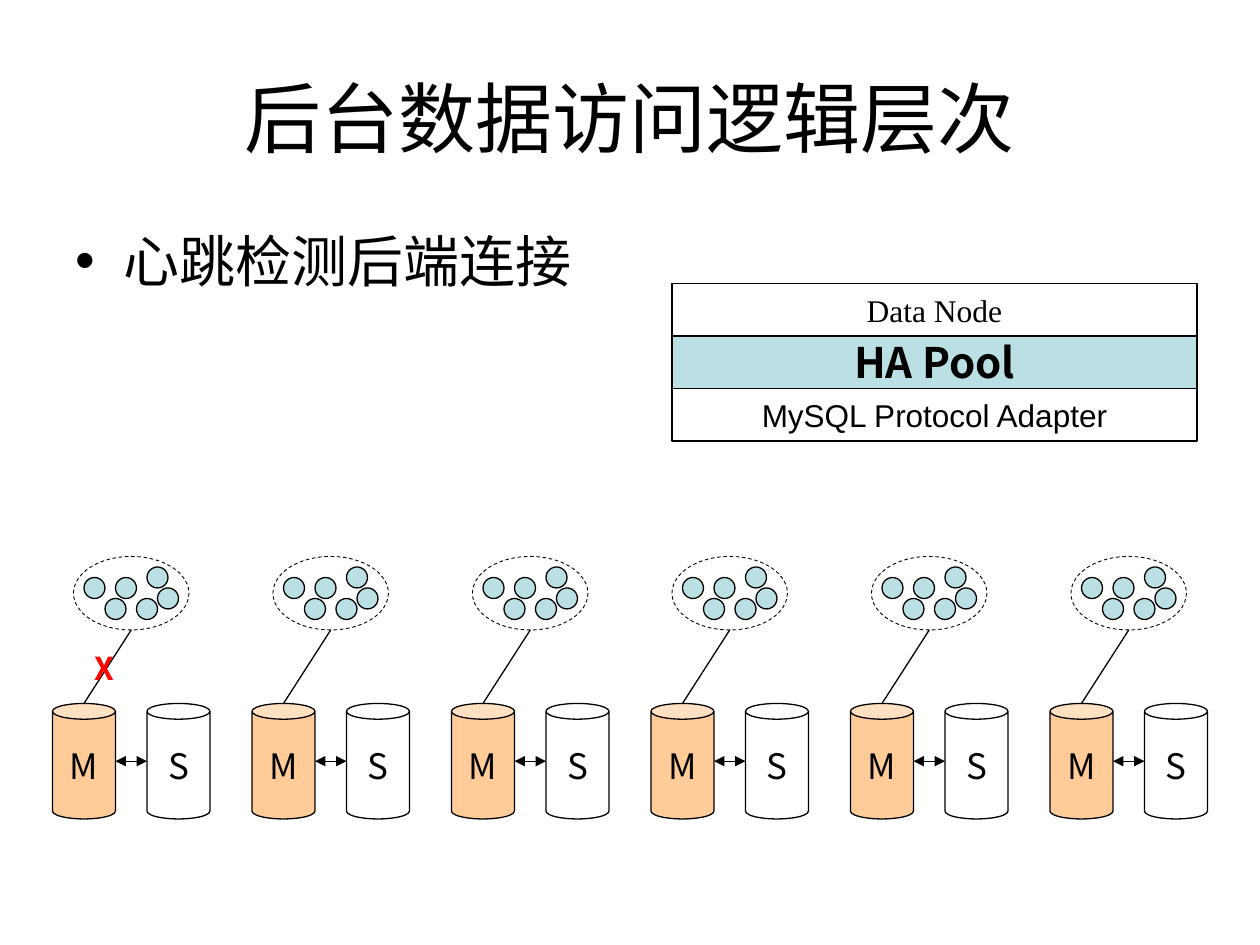
from dataclasses import dataclass

from lxml.etree import SubElement
from pptx import Presentation
from pptx.dml.color import RGBColor
from pptx.enum.dml import MSO_LINE
from pptx.enum.shapes import MSO_CONNECTOR, MSO_SHAPE
from pptx.enum.text import MSO_ANCHOR, PP_ALIGN
from pptx.oxml.ns import qn
from pptx.util import Inches, Pt


@dataclass(frozen=True)
class Theme:
    black: str = "000000"
    white: str = "FFFFFF"
    teal: str = "BBE0E3"
    orange: str = "FFCC99"
    red: str = "FF0000"
    sans: str = "Arial"
    serif: str = "Times New Roman"
    chinese: str = "Noto Sans CJK SC"
    title: int = 44
    body: int = 32
    emphasis: int = 24
    node: int = 20
    label: int = 18
    outline: float = 0.75
    dashed: float = 0.5


THEME = Theme()

TITLE = "后台数据访问逻辑层次"
BULLET = "心跳检测后端连接"

# Text, fill, font, size, bold; from top to bottom
LAYERS = [
    ("Data Node", THEME.white, THEME.serif, THEME.label, False),
    ("HA Pool", THEME.teal, THEME.chinese, THEME.emphasis, True),
    ("MySQL Protocol Adapter", THEME.white, THEME.sans, THEME.label, False),
]

# The diagram sits on a grid of twelfths of an inch.
# Positions below are for the first cluster; each next one is a pitch to the right.
CLUSTERS = 6
PITCH = 19
DATABASES = [("S", 14, THEME.white), ("M", 5, THEME.orange)]
POOL = (7, 53, 11, 7)
CONNECTIONS = [(10, 57), (14, 54), (13, 57), (11, 55), (8, 55), (15, 56)]


def grid(units):
    return Inches(units / 12)


def color(value):
    return RGBColor.from_string(value)


def add_span(para, text, font, size, ink=THEME.black, bold=False):
    span = para.add_run()
    span.text = text
    span.font.name = font
    span.font.size = Pt(size)
    span.font.bold = bold
    span.font.color.rgb = color(ink)
    SubElement(span.font._element, qn("a:ea"), typeface=THEME.chinese)


def add_text(page, left, top, width, height, anchor=MSO_ANCHOR.TOP):
    """Add a wrapping text box and return its first paragraph."""
    box = page.shapes.add_textbox(Inches(left), Inches(top), Inches(width), Inches(height))
    box.text_frame.word_wrap = True
    box.text_frame.vertical_anchor = anchor
    return box.text_frame.paragraphs[0]


def add_figure(page, kind, left, top, width, height, fill=None):
    """Add an outlined preset shape, placed in grid units."""
    figure = page.shapes.add_shape(kind, grid(left), grid(top), grid(width), grid(height))
    figure.shadow.inherit = False
    if fill:
        figure.fill.solid()
        figure.fill.fore_color.rgb = color(fill)
    else:
        figure.fill.background()
    figure.line.color.rgb = color(THEME.black)
    figure.line.width = Pt(THEME.outline)
    return figure


def label(figure, text, font, size, bold=False):
    frame = figure.text_frame
    frame.word_wrap = False
    frame.vertical_anchor = MSO_ANCHOR.MIDDLE
    para = frame.paragraphs[0]
    para.alignment = PP_ALIGN.CENTER
    add_span(para, text, font, size, bold=bold)


def add_link(page, start, end, arrows=False):
    ends = [grid(units) for units in (*start, *end)]
    link = page.shapes.add_connector(MSO_CONNECTOR.STRAIGHT, *ends)
    link.line.color.rgb = color(THEME.black)
    link.line.width = Pt(THEME.outline)
    if arrows:
        line = link.line._get_or_add_ln()
        for tag in ("a:headEnd", "a:tailEnd"):
            SubElement(line, qn(tag), type="triangle")
    SubElement(link._element.spPr, qn("a:effectLst"))


def add_cluster(page, shift):
    """Draw a master and slave pair with its connection pool."""
    for name, left, fill in DATABASES:
        can = add_figure(page, MSO_SHAPE.CAN, left + shift, 67, 6, 11, fill)
        label(can, name, THEME.chinese, THEME.node)
    add_link(page, (11 + shift, 72.5), (14 + shift, 72.5), arrows=True)
    for left, top in CONNECTIONS:
        add_figure(page, MSO_SHAPE.OVAL, left + shift, top, 2, 2, THEME.teal)
    left, top, width, height = POOL
    pool = add_figure(page, MSO_SHAPE.OVAL, left + shift, top, width, height)
    pool.line.width = Pt(THEME.dashed)
    pool.line.dash_style = MSO_LINE.DASH
    add_link(page, (left + width / 2 + shift, top + height), (8 + shift, 67))


def add_heading(page):
    para = add_text(page, 0.5, 0.3, 9, 1.25, MSO_ANCHOR.MIDDLE)
    para.alignment = PP_ALIGN.CENTER
    add_span(para, TITLE, THEME.sans, THEME.title)

    para = add_text(page, 0.5, 1.75, 9, 2.08)
    properties = para._p.get_or_add_pPr()
    properties.set("marL", str(Inches(0.38)))
    properties.set("indent", str(-Inches(0.38)))
    SubElement(properties, qn("a:buFont"), typeface=THEME.sans)
    SubElement(properties, qn("a:buChar"), char="•")
    add_span(para, BULLET, THEME.sans, THEME.body)


def main():
    deck = Presentation()
    deck.slide_width, deck.slide_height = Inches(10), Inches(7.5)
    page = deck.slides.add_slide(deck.slide_layouts[6])

    add_heading(page)
    for index in range(CLUSTERS):
        add_cluster(page, index * PITCH)
    for index, (text, fill, font, size, bold) in enumerate(LAYERS):
        layer = add_figure(page, MSO_SHAPE.RECTANGLE, 64, 27 + 5 * index, 50, 5, fill)
        label(layer, text, font, size, bold)

    para = add_text(page, 0.58, 5.1, 0.5, 0.4)
    para.alignment = PP_ALIGN.CENTER
    add_span(para, "X", THEME.chinese, THEME.label, THEME.red, bold=True)

    deck.save("out.pptx")


if __name__ == "__main__":
    main()
